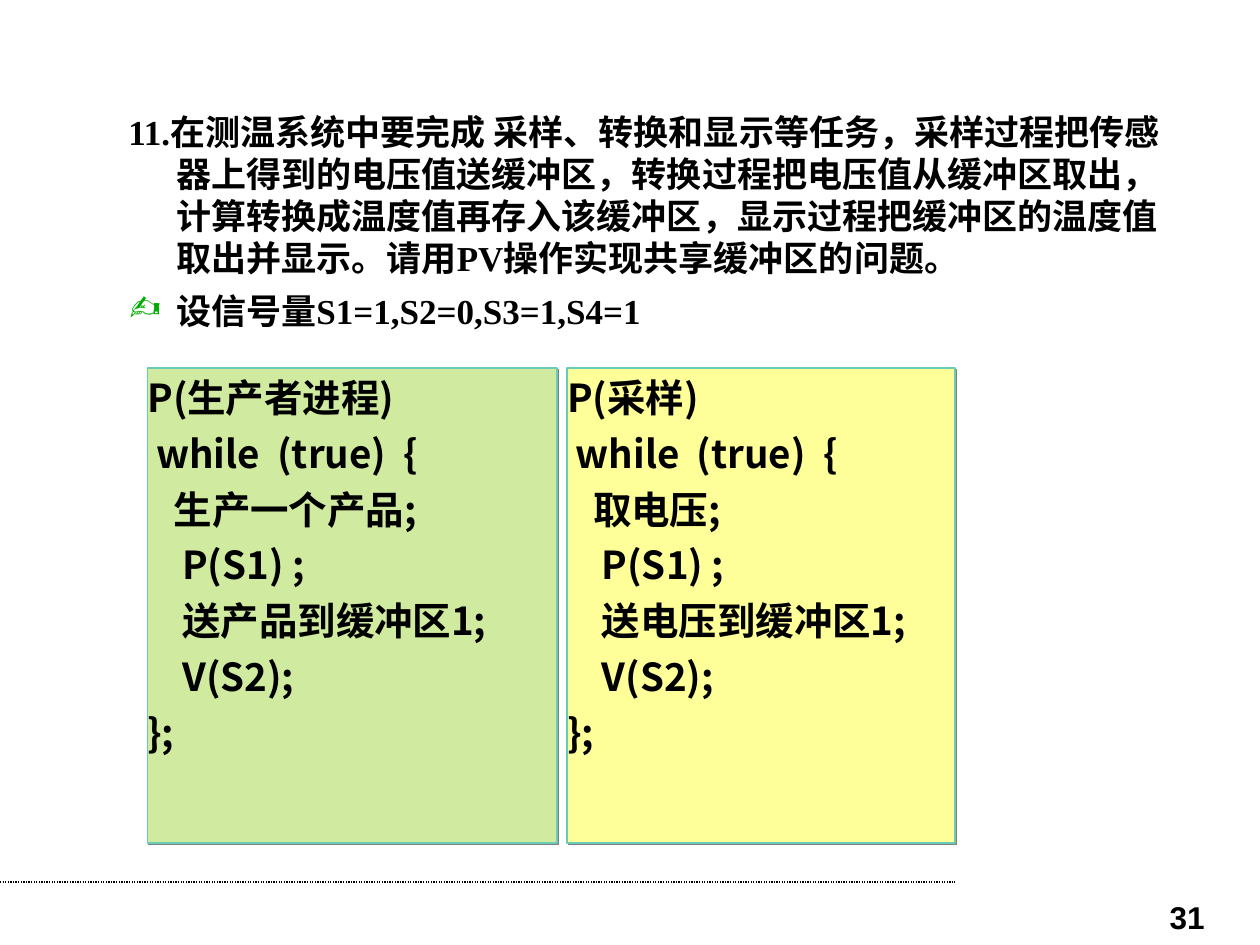
import pptx
import pptx.util
import pptx.dml.color
import pptx.enum.dml
import pptx.enum.shapes
import pptx.enum.text
import pptx.oxml
import pptx.oxml.ns

Inches, Pt = pptx.util.Inches, pptx.util.Pt
PP_ALIGN = pptx.enum.text.PP_ALIGN

COLORS = {"text": "000000", "bullet": "00AC00", "border": "68CCB7",
          "shadow": "808080", "green": "D0EB9F", "yellow": "FFFF99"}
QUESTION = ("11.在测温系统中要完成 采样、转换和显示等任务，采样过程把传感器上得到的电压值送缓冲区，"
            "转换过程把电压值从缓冲区取出，计算转换成温度值再存入该缓冲区，"
            "显示过程把缓冲区的温度值取出并显示。请用PV操作实现共享缓冲区的问题。")
SEMAPHORES = "设信号量S1=1,S2=0,S3=1,S4=1"
PAGE = "31"
PROCESSES = [
    ("green", 3.25, "生产者进程", "生产一个产品", "送产品到缓冲区1"),
    ("yellow", 3.08, "采样", "取电压", "送电压到缓冲区1"),
]
CODE = "P({})\n while  (true)  {{\n   {};\n    P(S1) ;\n    {};\n    V(S2);\n}};"
WIDTH, HEIGHT = 10, 7.5
BODY_LEFT, CODE_LEFT, CODE_TOP, CODE_HEIGHT, GAP = 0.92, 1.17, 2.92, 3.77, 0.08
INDENT, LINE_RATIO = 0.38, 1.2
NS = pptx.oxml.ns.nsdecls("a")


def rgb(name):
    return pptx.dml.color.RGBColor.from_string(COLORS[name])


def write(sp, text, font, size, side=0.1, indent=INDENT, bullet=None, align=PP_ALIGN.LEFT):
    tf = sp.text_frame
    tf.text = text
    tf.word_wrap = True
    tf.vertical_anchor = pptx.enum.text.MSO_ANCHOR.TOP
    tf.margin_left = tf.margin_right = Inches(side)
    tf.margin_top = Inches(0.05)
    for i, p in enumerate(tf.paragraphs):
        p.alignment = align
        p.line_spacing = Pt(size * LINE_RATIO)
        p.space_before = Pt(size / 4 if i else 0)
        pPr = p._p.get_or_add_pPr()
        pPr.set("marL", str(Inches(indent)))
        pPr.set("indent", str(-Inches(indent)))
        pPr.set("hangingPunct", "0")
        if bullet:
            pPr.append(pptx.oxml.parse_xml(
                f'<a:buClr {NS}><a:srgbClr val="{COLORS["bullet"]}"/></a:buClr>'))
            pPr.append(pptx.oxml.parse_xml(f'<a:buFont {NS} typeface="Wingdings"/>'))
            pPr.append(pptx.oxml.parse_xml(f'<a:buChar {NS} char="{bullet}"/>'))
        for r in p.runs:
            r.font.name = font
            r.font.size = Pt(size)
            r.font.bold = True
            r.font.color.rgb = rgb("text")
            r._r.get_or_add_rPr().append(
                pptx.oxml.parse_xml(f'<a:ea {NS} typeface="Noto Sans CJK SC"/>'))


def add_text(s, left, top, width, height, text, font, size, **style):
    sp = s.shapes.add_textbox(*map(Inches, (left, top, width, height)))
    write(sp, text, font, size, **style)


def add_code(s, left, width, fill, text):
    sp = s.shapes.add_shape(pptx.enum.shapes.MSO_SHAPE.RECTANGLE,
                            *map(Inches, (left, CODE_TOP, width, CODE_HEIGHT)))
    sp.fill.solid()
    sp.fill.fore_color.rgb = rgb(fill)
    sp.line.color.rgb = rgb("border")
    sp.line.width = Pt(0.75)
    sp._element.spPr.append(pptx.oxml.parse_xml(
        f'<a:effectLst {NS}><a:outerShdw dist="{Pt(1.4)}" dir="2700000" algn="ctr" '
        f'rotWithShape="0"><a:srgbClr val="{COLORS["shadow"]}"/></a:outerShdw></a:effectLst>'))
    write(sp, text, "Noto Sans CJK SC", 22, side=0)


def main():
    prs = pptx.Presentation()
    prs.slide_width, prs.slide_height = Inches(WIDTH), Inches(HEIGHT)
    s = prs.slides.add_slide(prs.slide_layouts[6])

    rule = s.shapes.add_connector(pptx.enum.shapes.MSO_CONNECTOR.STRAIGHT,
                                  0, Inches(7), Inches(7.58), Inches(7))
    rule.line.color.rgb = rgb("text")
    rule.line.width = Pt(0.75)
    rule.line.dash_style = pptx.enum.dml.MSO_LINE.ROUND_DOT
    rule._element.spPr.append(pptx.oxml.parse_xml(f"<a:effectLst {NS}/>"))

    add_text(s, 7.33, 7.08, 2.33, 0.27, PAGE, "Arial", 18, indent=0, align=PP_ALIGN.RIGHT)
    add_text(s, BODY_LEFT, 0.83, 8.42, 1.67, QUESTION, "Times New Roman", 20)
    add_text(s, BODY_LEFT, 2.25, 8.5, 0.5, SEMAPHORES, "Times New Roman", 20, bullet="✿")

    left = CODE_LEFT
    for fill, width, *parts in PROCESSES:
        add_code(s, left, width, fill, CODE.format(*parts))
        left += width + GAP

    prs.save("out.pptx")


if __name__ == "__main__":
    main()
